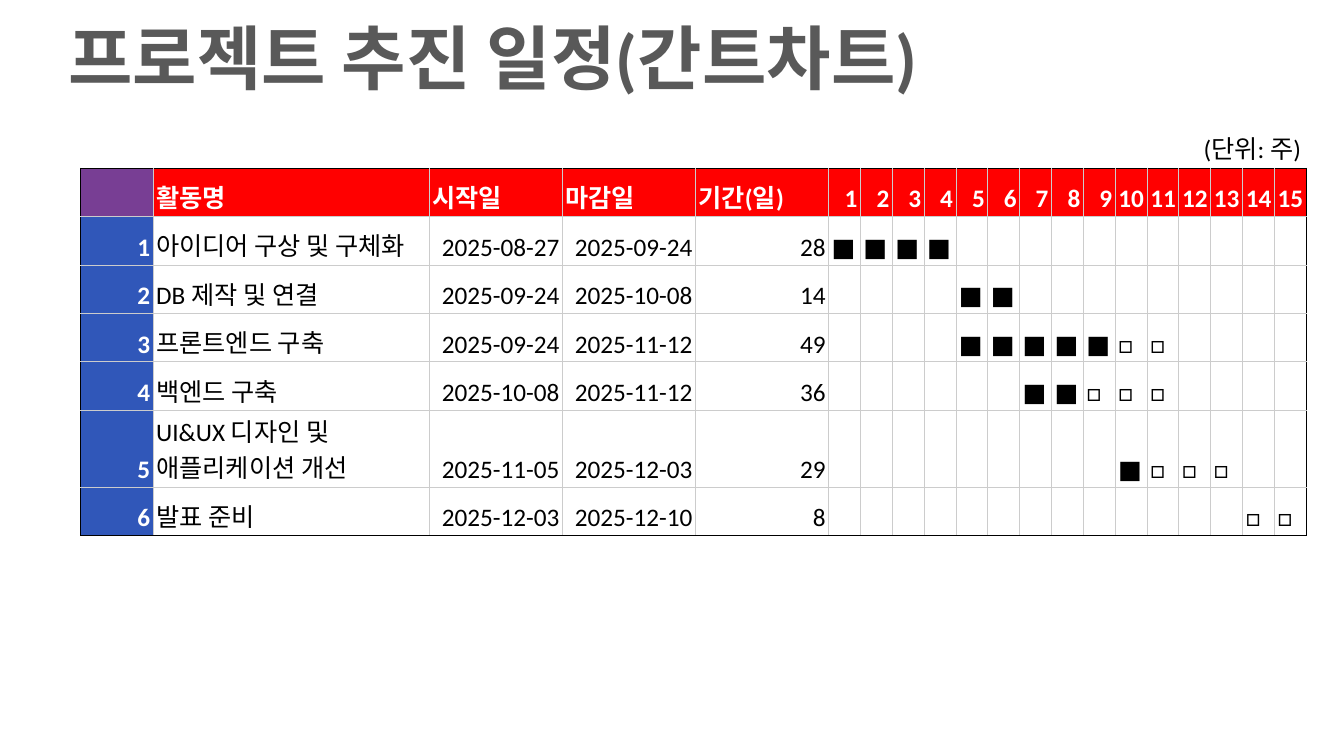
from dataclasses import dataclass

from lxml import etree
from pptx import Presentation, util as u
from pptx.dml import color
from pptx.enum import text
from pptx.oxml import ns

FONT = "Calibri"
BLACK, WHITE, GRAY, GRID = "000000", "FFFFFF", "595959", "CCCCCC"
PURPLE, RED, BLUE = "783E94", "FF0000", "3057B9"
WEEK_COUNT = 15
WEEK_WIDTH = 4.74 / WEEK_COUNT
COLUMN_WIDTHS = [0.72, 2.74] + [1.32] * 3 + [WEEK_WIDTH] * WEEK_COUNT
ROW_HEIGHTS = [0.48] * 5 + [0.52, 0.48]
HEADINGS = ["", "활동명", "시작일", "마감일", "기간(일)"]
LABEL_COLUMNS = len(HEADINGS)
CELL_FORMAT = {
    "margin_left": u.Inches(0.03),
    "margin_right": u.Inches(0.03),
    "margin_top": u.Inches(0.02),
    "margin_bottom": u.Inches(0.02),
    "vertical_anchor": text.MSO_ANCHOR.BOTTOM,
}


@dataclass
class Label:
    content: str
    left: float
    top: float
    width: float
    height: float
    size: float
    hex_color: str
    bold: bool
    anchor: text.MSO_ANCHOR


@dataclass
class Activity:
    name: str
    start: str
    end: str
    days: int
    first_week: int
    done: int
    planned: int

    def cells(self, number: int) -> list[str]:
        weeks = [""] * (self.first_week - 1) + ["■"] * self.done + ["□"] * self.planned
        weeks += [""] * (WEEK_COUNT - len(weeks))
        return [str(number), self.name, self.start, self.end, str(self.days)] + weeks


LABELS = [
    Label("프로젝트 추진 일정(간트차트)", 0.58, 0.13, 11.17, 0.87, 50, GRAY, True, text.MSO_ANCHOR.MIDDLE),
    Label("(단위: 주)", 11.84, 1.27, 1.62, 0.4, 18, BLACK, False, text.MSO_ANCHOR.TOP),
]
ACTIVITIES = [
    Activity("아이디어 구상 및 구체화", "2025-08-27", "2025-09-24", 28, 1, 4, 0),
    Activity("DB 제작 및 연결", "2025-09-24", "2025-10-08", 14, 5, 2, 0),
    Activity("프론트엔드 구축", "2025-09-24", "2025-11-12", 49, 5, 5, 2),
    Activity("백엔드 구축", "2025-10-08", "2025-11-12", 36, 7, 2, 3),
    Activity("UI&UX 디자인 및 애플리케이션 개선", "2025-11-05", "2025-12-03", 29, 10, 1, 3),
    Activity("발표 준비", "2025-12-03", "2025-12-10", 8, 14, 0, 2),
]


def rgb(hex_color: str) -> color.RGBColor:
    return color.RGBColor.from_string(hex_color)


def apply(target, values: dict) -> None:
    for name, value in values.items():
        setattr(target, name, value)


def style_text(paragraph, content: str, size: float, hex_color: str, bold: bool) -> None:
    paragraph.text = content
    apply(paragraph.font, {"name": FONT, "size": u.Pt(size), "bold": bold})
    paragraph.font.color.rgb = rgb(hex_color)


def draw_label(slide, label: Label) -> None:
    box = (label.left, label.top, label.width, label.height)
    frame = slide.shapes.add_textbox(*map(u.Inches, box)).text_frame
    apply(frame, {"word_wrap": True, "vertical_anchor": label.anchor})
    style_text(frame.paragraphs[0], label.content, label.size, label.hex_color, label.bold)


def draw_borders(cell, outer_sides: dict[str, bool]) -> None:
    properties = cell._tc.get_or_add_tcPr()
    for side, outer in outer_sides.items():
        line = etree.SubElement(properties, ns.qn(f"a:ln{side}"), w=str(u.Pt(0.6)))
        fill = etree.SubElement(line, ns.qn("a:solidFill"))
        etree.SubElement(fill, ns.qn("a:srgbClr"), val=BLACK if outer else GRID)


def cell_fill(row: int, column: int) -> str:
    if row == 0:
        return RED if column else PURPLE
    return WHITE if column else BLUE


def is_right_aligned(row: int, column: int) -> bool:
    if row == 0:
        return column >= LABEL_COLUMNS
    return column in (0, 2, 3, 4)


def draw_schedule(slide, rows: list[list[str]]) -> None:
    last_row, last_column = len(rows) - 1, len(COLUMN_WIDTHS) - 1
    box = (0.8, 1.67, sum(COLUMN_WIDTHS), sum(ROW_HEIGHTS))
    table = slide.shapes.add_table(len(rows), len(COLUMN_WIDTHS), *map(u.Inches, box)).table
    apply(table, {"first_row": False, "horz_banding": False})
    for column, width in zip(table.columns, COLUMN_WIDTHS):
        column.width = u.Inches(width)
    for row, height in zip(table.rows, ROW_HEIGHTS):
        row.height = u.Inches(height)
    for r, contents in enumerate(rows):
        for c, content in enumerate(contents):
            cell = table.cell(r, c)
            apply(cell, CELL_FORMAT)
            draw_borders(cell, {"L": c == 0, "R": c == last_column, "T": r == 0, "B": r == last_row})
            cell.fill.solid()
            cell.fill.fore_color.rgb = rgb(cell_fill(r, c))
            heading = r == 0 or c == 0
            paragraph = cell.text_frame.paragraphs[0]
            style_text(paragraph, content, 18, WHITE if heading else BLACK, heading)
            right = is_right_aligned(r, c)
            paragraph.alignment = text.PP_ALIGN.RIGHT if right else text.PP_ALIGN.LEFT


def main() -> None:
    presentation = Presentation()
    apply(presentation, {"slide_width": u.Inches(13.33), "slide_height": u.Inches(7.5)})
    slide = presentation.slides.add_slide(presentation.slide_layouts[6])
    header = HEADINGS + [str(week) for week in range(1, WEEK_COUNT + 1)]
    rows = [activity.cells(number) for number, activity in enumerate(ACTIVITIES, 1)]
    draw_schedule(slide, [header] + rows)
    for label in LABELS:
        draw_label(slide, label)
    presentation.save("out.pptx")


if __name__ == "__main__":
    main()
